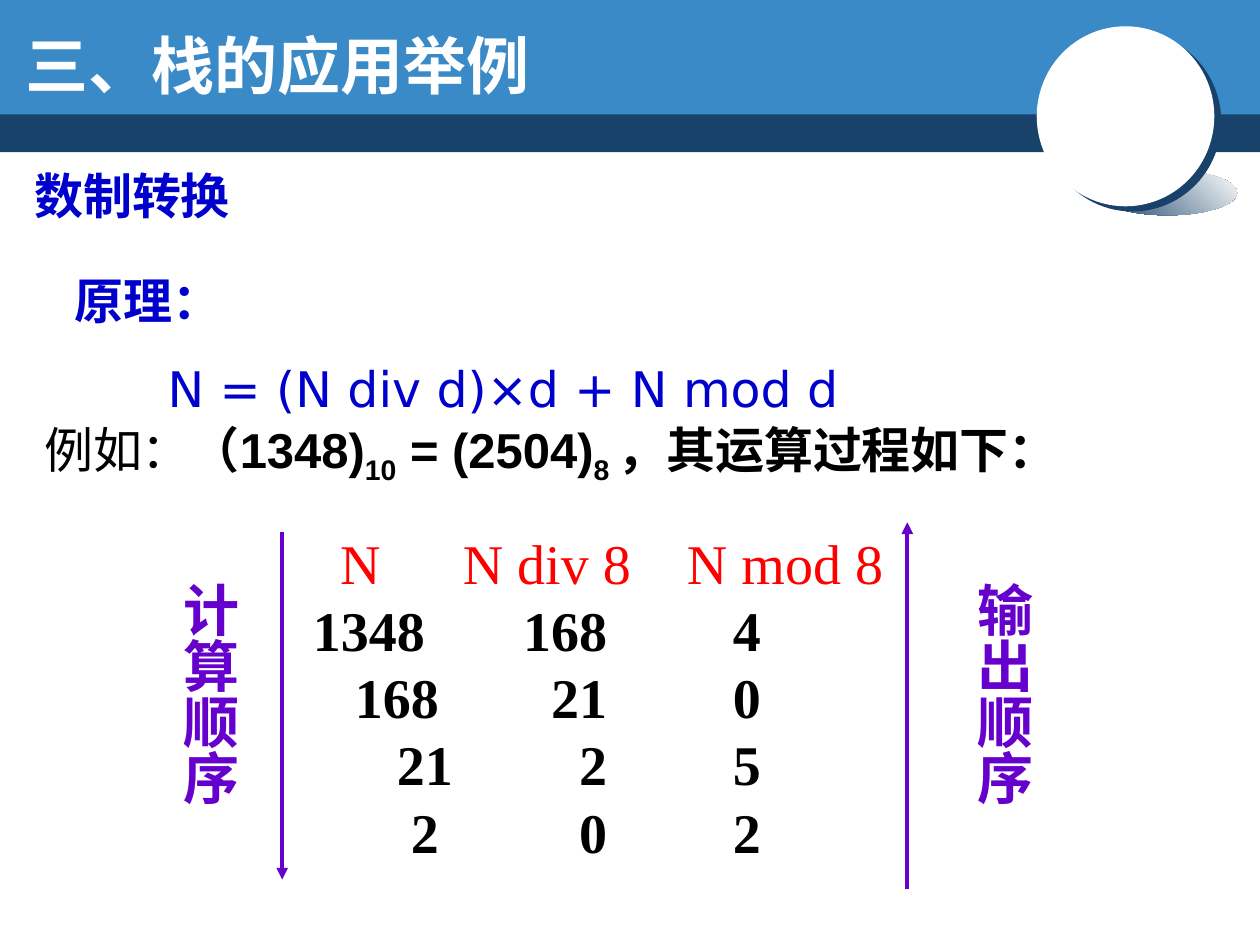
from lxml.etree import SubElement
from pptx import Presentation
from pptx.dml.color import RGBColor
from pptx.enum.shapes import MSO_CONNECTOR, MSO_SHAPE
from pptx.enum.text import MSO_ANCHOR
from pptx.oxml.ns import qn
from pptx.util import Cm, Pt

NAVY = RGBColor(0x19, 0x42, 0x6B)
SKY = RGBColor(0x39, 0x8A, 0xC7)
WHITE = RGBColor(0xFF, 0xFF, 0xFF)
BLACK = RGBColor(0, 0, 0)
BLUE = RGBColor(0, 0, 0xCC)
RED = RGBColor(0xFF, 0, 0)
PURPLE = RGBColor(0x66, 0, 0xCC)
CJK, SERIF, SANS, FORMULA = "Noto Sans CJK SC", "Times New Roman", "Arial", "DejaVu Sans"


def add_shape(slide, kind, x, y, w, h, color=None):
    sp = slide.shapes.add_shape(kind, Cm(x), Cm(y), Cm(w), Cm(h))
    sp.shadow.inherit = False
    sp.line.fill.background()
    if color is not None:
        sp.fill.solid()
        sp.fill.fore_color.rgb = color
    return sp


def add_frame(slide, x, y, w, h, anchor=MSO_ANCHOR.MIDDLE, wrap=True):
    tf = slide.shapes.add_textbox(Cm(x), Cm(y), Cm(w), Cm(h)).text_frame
    tf.word_wrap = wrap
    tf.vertical_anchor = anchor
    tf.margin_left = tf.margin_right = tf.margin_top = tf.margin_bottom = 0
    return tf


def set_font(p, size, name, color, bold=True):
    p.font.size, p.font.name, p.font.bold = Pt(size), name, bold
    p.font.color.rgb = color
    for r in p.runs:
        SubElement(r._r.get_or_add_rPr(), qn("a:ea"), typeface=CJK)


def add_heading(slide, text, x, y, w, h, size, name, color):
    p = add_frame(slide, x, y, w, h).paragraphs[0]
    p.text = text
    set_font(p, size, name, color)


def add_banner(slide, x, y, w):
    # Two bands with the slide title
    add_shape(slide, MSO_SHAPE.RECTANGLE, x, y + 2.21, w, 0.86, NAVY)
    add_shape(slide, MSO_SHAPE.RECTANGLE, x, y, w, 2.31, SKY)
    add_heading(slide, "三、栈的应用举例", x + 0.51, y + 0.53, 12.4, 1.52, 36, CJK, WHITE)


def add_ball(slide, x, y):
    # Ground shade
    shade = add_shape(slide, MSO_SHAPE.OVAL, x + 1.22, y + 2.9, 2.82, 0.91)
    shade.fill.gradient()
    shade.fill.gradient_angle = 45
    for stop, color in zip(shade.fill.gradient_stops, (NAVY, WHITE)):
        stop.color.rgb = color
    # White disc with a hard navy shadow
    disc = add_shape(slide, MSO_SHAPE.OVAL, x, y, 3.58, 3.63, WHITE)
    effects = disc._element.spPr.find(qn("a:effectLst"))
    shadow = SubElement(effects, qn("a:outerShdw"), blurRad="0", dist=str(Pt(5)),
                        dir=str(37 * 60000), algn="ctr", rotWithShape="0")
    SubElement(shadow, qn("a:srgbClr"), val=str(NAVY))


def add_principle(slide, x, y, w):
    tf = add_frame(slide, x, y, w, 3.53, MSO_ANCHOR.TOP)
    lines = (("原理：", 0, True), ("N = (N div d)×d + N mod d", 1.88, False))
    for i, (text, indent, bold) in enumerate(lines):
        p = tf.paragraphs[0] if i == 0 else tf.add_paragraph()
        p.text = text
        p.line_spacing = Pt(50)
        p._p.get_or_add_pPr().set("marL", str(Cm(indent)))
        set_font(p, 28, FORMULA, BLUE, bold)


def add_example(slide, x, y, w, h):
    p = add_frame(slide, x, y, w, h).paragraphs[0]
    parts = (("例如：", False, False), ("（1348)", True, False), ("10", True, True),
             (" = (2504)", True, False), ("8 ", True, True),
             ("，其运算过程如下：", True, False))
    for text, bold, subscript in parts:
        r = p.add_run()
        r.text = text
        r.font.bold = bold
        if subscript:
            r._r.get_or_add_rPr().set("baseline", "-25000")
    set_font(p, 28, SANS, BLACK)


def add_arrow(slide, x, y1, y2):
    line = slide.shapes.add_connector(MSO_CONNECTOR.STRAIGHT, Cm(x), Cm(y1), Cm(x), Cm(y2))
    line.line.color.rgb = PURPLE
    line.line.width = Pt(2.25)
    SubElement(line.line._get_or_add_ln(), qn("a:tailEnd"), type="triangle")
    SubElement(line._element.spPr, qn("a:effectLst"))


def add_vertical_label(slide, text, x, y):
    tf = add_frame(slide, x, y, 1.85, 4.7, MSO_ANCHOR.MIDDLE, wrap=False)
    tf._txBody.bodyPr.set("vert", "eaVert")
    p = tf.paragraphs[0]
    p.text = text
    set_font(p, 32, SERIF, PURPLE)


def add_division_steps(slide, x, y, w, h):
    # Each row: cells, tab positions, tab alignment
    rows = [(("N", "N div 8", "N mod 8"), (0.76, 3.23, 7.75), "l")]
    n = 1348
    for first_tab in (2.47, 2.75, 3.03, 2.75):
        quotient, remainder = divmod(n, 8)
        rows.append(((n, quotient, remainder), (first_tab, 6.14, 9.24), "r"))
        n = quotient
    tf = add_frame(slide, x, y, w, h)
    for i, (cells, stops, align) in enumerate(rows):
        p = tf.paragraphs[0] if i == 0 else tf.add_paragraph()
        p.text = "".join(f"\t{cell}" for cell in cells)
        p.line_spacing = Pt(38.4)
        tabs = SubElement(p._p.get_or_add_pPr(), qn("a:tabLst"))
        for stop in stops:
            SubElement(tabs, qn("a:tab"), pos=str(Cm(stop)), algn=align)
        set_font(p, 32, SERIF, BLACK if i else RED, bold=i > 0)


def add_process(slide, x, y):
    # Division steps between the two order arrows
    add_division_steps(slide, x + 2.8, y, 13, 8.61)
    add_arrow(slide, x + 2.39, y + 1, y + 8)
    add_arrow(slide, x + 14.99, y + 8.2, y + 0.8)
    for text, offset in (("计算顺序", 0), ("输出顺序", 16)):
        add_vertical_label(slide, text, x + offset, y + 2)


def main():
    prs = Presentation()
    prs.slide_width, prs.slide_height = Cm(25.4), Cm(19.05)
    s = prs.slides.add_slide(prs.slide_layouts[6])
    add_banner(s, 0, 0, 25.4)
    add_ball(s, 20.9, 0.53)
    add_heading(s, "数制转换", 0.69, 3.33, 7.2, 1.2, 28, FORMULA, BLUE)
    add_principle(s, 1.5, 4.88, 20)
    add_example(s, 0.89, 8.53, 21.6, 1.2)
    add_process(s, 3.3, 9.73)
    prs.save("out.pptx")


if __name__ == "__main__":
    main()
